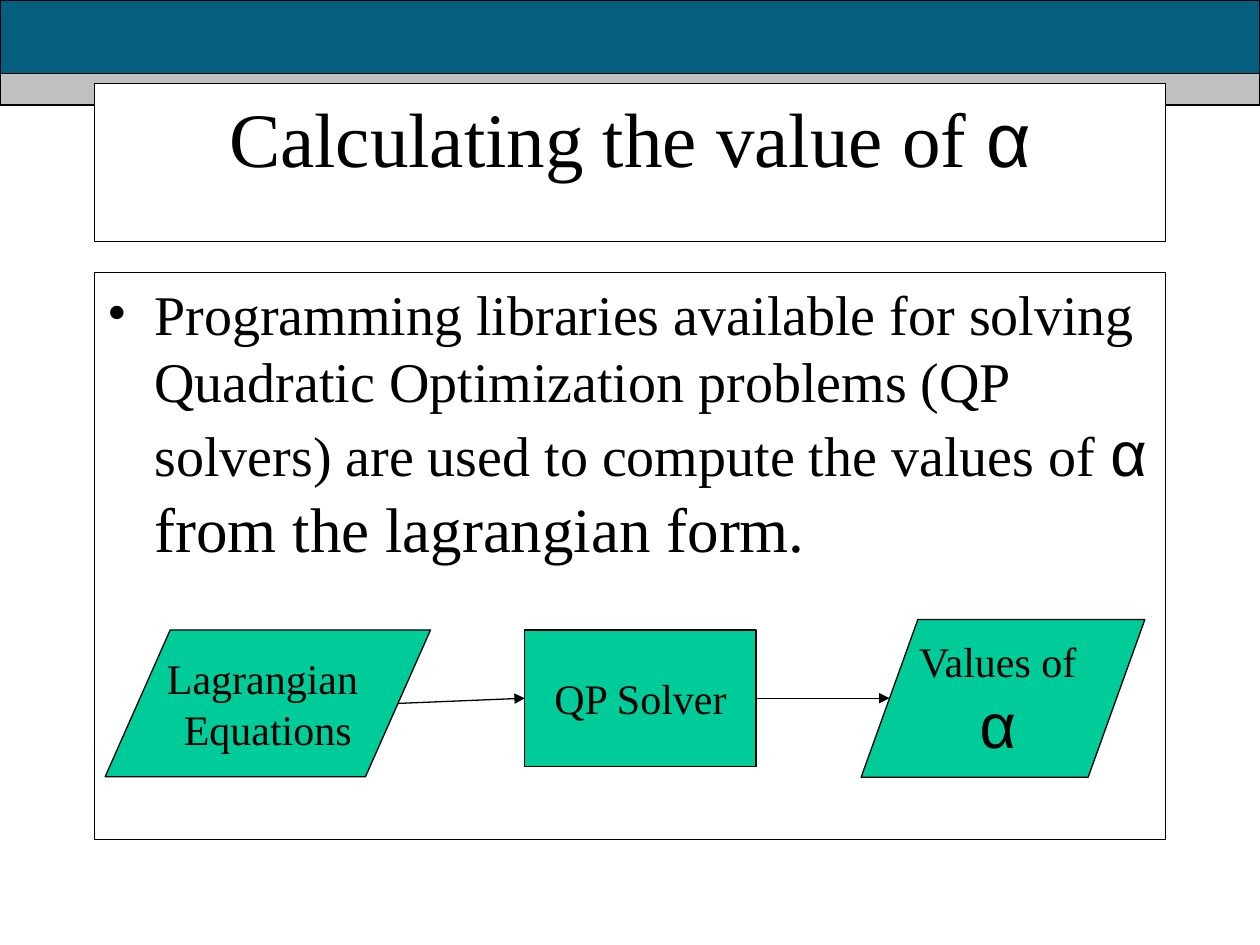
import pptx
import pptx.dml.color
import pptx.enum.shapes
import pptx.enum.text
import pptx.oxml
import pptx.oxml.ns
import pptx.util
from pptx.util import Cm

COLOURS = {
    "banner": "045E7E",
    "strip": "C0C0C0",
    "panel": "FFFFFF",
    "step": "00CC99",
    "ink": "000000",
}
SERIF = "Times New Roman"
SANS = "Arial"
LINE_WIDTH = 0.75
ALIGN = pptx.enum.text.PP_ALIGN
ANCHOR = pptx.enum.text.MSO_ANCHOR
SHAPE = pptx.enum.shapes.MSO_SHAPE


def colour(name):
    return pptx.dml.color.RGBColor.from_string(COLOURS[name])


def style_box(shape, fill):
    shape.fill.solid()
    shape.fill.fore_color.rgb = colour(fill)
    shape.line.color.rgb = colour("ink")
    shape.line.width = pptx.util.Pt(LINE_WIDTH)


def add_bullet(paragraph, indent):
    properties = paragraph._p.get_or_add_pPr()
    properties.set("marL", str(indent))
    properties.set("indent", str(-indent))
    namespace = pptx.oxml.ns.nsdecls("a")
    for xml in (
        f'<a:buFont {namespace} typeface="{SERIF}"/>',
        f'<a:buChar {namespace} char="•"/>',
    ):
        properties.append(pptx.oxml.parse_xml(xml))


def add_text(paragraph, text, size=24, font=SERIF, align=None):
    if align is not None:
        paragraph.alignment = align
    run = paragraph.add_run()
    run.text = text
    run.font.size = pptx.util.Pt(size)
    run.font.name = font
    run.font.color.rgb = colour("ink")


def add_box(slide, preset, fill, left, top, width, height):
    shape = slide.shapes.add_shape(
        preset, Cm(left), Cm(top), Cm(width), Cm(height)
    )
    shape.shadow.inherit = False
    style_box(shape, fill)
    return shape


def add_step(slide, preset, left, top, width, height, lines):
    shape = add_box(slide, preset, "step", left, top, width, height)
    frame = shape.text_frame
    frame.word_wrap = False
    frame.vertical_anchor = ANCHOR.MIDDLE
    for index, runs in enumerate(lines):
        paragraph = frame.add_paragraph() if index else frame.paragraphs[0]
        for text, text_format in runs:
            add_text(paragraph, text, align=ALIGN.CENTER, **text_format)
    return shape


def add_arrow(slide, start, end):
    connector = slide.shapes.add_connector(
        pptx.enum.shapes.MSO_CONNECTOR.STRAIGHT, *start, *end
    )
    connector.line.color.rgb = colour("ink")
    connector.line.width = pptx.util.Pt(LINE_WIDTH)
    namespace = pptx.oxml.ns.nsdecls("a")
    connector.line._get_or_add_ln().append(
        pptx.oxml.parse_xml(f'<a:tailEnd {namespace} type="triangle"/>')
    )
    connector._element.spPr.append(
        pptx.oxml.parse_xml(f"<a:effectLst {namespace}/>")
    )
    return connector


def place_panel(shape, left, top, width, height):
    shape.left, shape.top = Cm(left), Cm(top)
    shape.width, shape.height = Cm(width), Cm(height)
    style_box(shape, "panel")
    frame = shape.text_frame
    frame.word_wrap = True
    frame.auto_size = pptx.enum.text.MSO_AUTO_SIZE.NONE
    frame.vertical_anchor = ANCHOR.TOP
    paragraph = frame.paragraphs[0]
    paragraph.space_before = pptx.util.Pt(0)
    shape.element.getparent().append(shape.element)
    return paragraph


def add_flow(slide):
    equations = add_step(
        slide, SHAPE.FLOWCHART_DATA, 2.12, 12.7, 6.56, 2.96,
        [[("Lagrangian ", {})], [("Equations", {})]],
    )
    solver = add_step(
        slide, SHAPE.FLOWCHART_PROCESS, 10.58, 12.7, 4.66, 2.75,
        [[("QP Solver", {})]],
    )
    values = add_step(
        slide, SHAPE.FLOWCHART_DATA, 17.36, 12.49, 5.72, 3.18,
        [[("Values of ", {})], [("α", {"size": 36, "font": SANS}), (" ", {})]],
    )
    solver_middle = solver.top + solver.height // 2
    solver_left = (solver.left, solver_middle)
    solver_right = (solver.left + solver.width, solver_middle)
    equations_right = (
        equations.left + equations.width * 9 // 10,
        equations.top + equations.height // 2,
    )
    values_left = (values.left + values.width // 10, solver_middle)
    add_arrow(slide, equations_right, solver_left).end_connect(solver, 1)
    add_arrow(slide, solver_right, values_left).begin_connect(solver, 3)


def main():
    presentation = pptx.Presentation()
    presentation.slide_width = Cm(25.4)
    presentation.slide_height = Cm(19.05)
    slide = presentation.slides.add_slide(presentation.slide_layouts[1])

    add_box(slide, SHAPE.RECTANGLE, "banner", 0, 0, 25.4, 2.12)
    add_box(slide, SHAPE.RECTANGLE, "strip", 0, 1.48, 25.4, 0.64)

    title = place_panel(slide.shapes.title, 1.91, 1.69, 21.59, 3.18)
    add_text(title, "Calculating the value of ", size=44, align=ALIGN.CENTER)
    add_text(title, "α", size=44, font=SANS)

    body = place_panel(slide.placeholders[1], 1.91, 5.5, 21.59, 11.43)
    add_bullet(body, Cm(0.95))
    add_text(
        body,
        "Programming libraries available for solving Quadratic Optimization "
        "problems (QP solvers) are used to compute the values of ",
        size=32,
        align=ALIGN.LEFT,
    )
    add_text(body, "α", size=36, font=SANS)
    add_text(body, " from the lagrangian form.", size=36)

    add_flow(slide)
    presentation.save("out.pptx")


if __name__ == "__main__":
    main()
